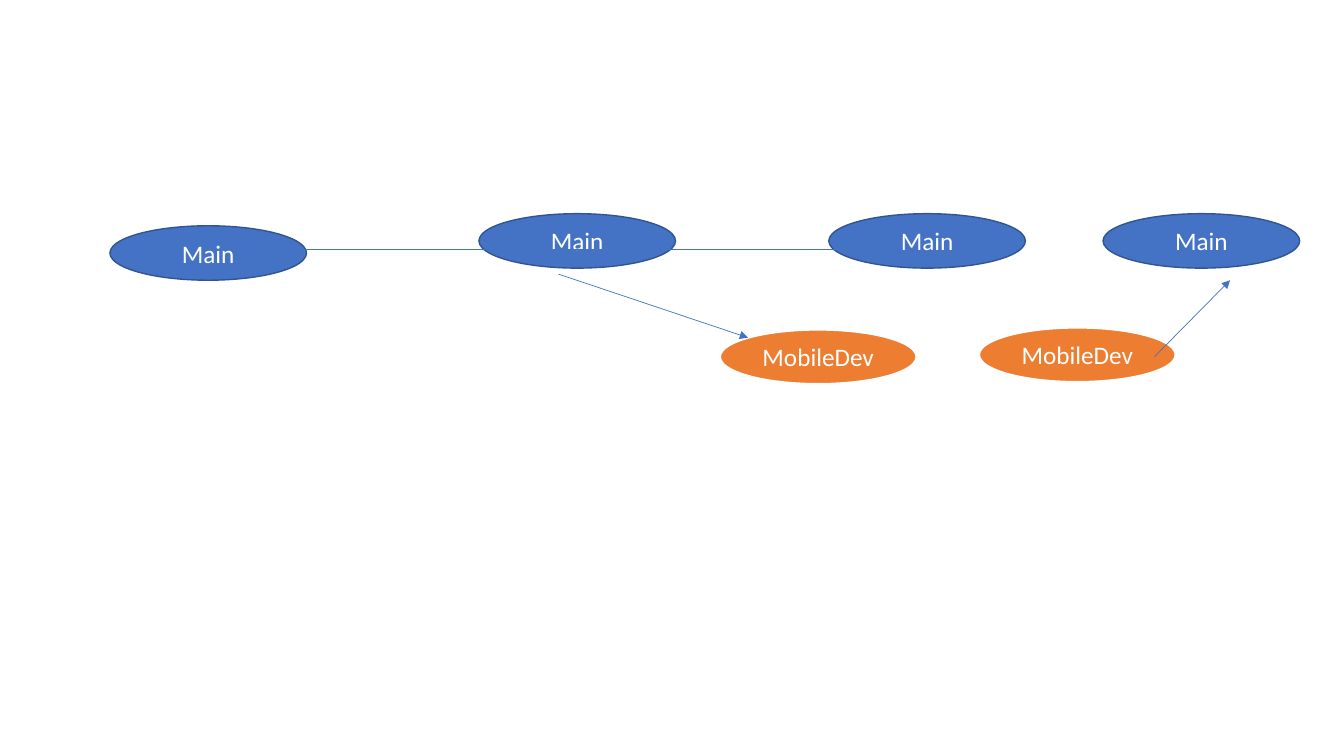
from lxml import etree
from pptx import Presentation
from pptx import util as u
from pptx.dml.color import RGBColor
from pptx.enum import shapes, text
from pptx.oxml.ns import qn

COLORS = {"blue": "4472C4", "navy": "325491", "orange": "ED7D31", "white": "FFFFFF"}
NODE_WIDTH, NODE_HEIGHT = 1.95, 0.54

presentation = Presentation()
presentation.slide_width = u.Inches(13.33)
presentation.slide_height = u.Inches(7.5)
slide = presentation.slides.add_slide(presentation.slide_layouts[6])


def color(name):
    return RGBColor.from_string(COLORS[name])


def add_node(label, left, top, fill="blue", line="navy", line_width=1, size=18):
    shape = slide.shapes.add_shape(
        shapes.MSO_SHAPE.OVAL,
        *(u.Inches(length) for length in (left, top, NODE_WIDTH, NODE_HEIGHT)))
    shape.shadow.inherit = False
    shape.fill.solid()
    shape.fill.fore_color.rgb = color(fill)
    shape.line.color.rgb = color(line)
    shape.line.width = u.Pt(line_width)
    frame = shape.text_frame
    frame.word_wrap = True
    frame.vertical_anchor = text.MSO_ANCHOR.MIDDLE
    paragraph = frame.paragraphs[0]
    paragraph.alignment = text.PP_ALIGN.CENTER
    run = paragraph.add_run()
    run.text = label
    run.font.name = "Calibri"
    run.font.size = u.Pt(size)
    run.font.color.rgb = color("white")


for left, top in [(1.09, 2.24), (4.75, 2.12), (8.22, 2.12), (10.94, 2.12)]:
    add_node("Main", left, top)

for left, top in [(7.14, 3.27), (9.71, 3.25)]:
    add_node("MobileDev", left, top, fill="orange", line="white", line_width=1.5)

main_history = (3.02, 2.475, 8.41, 2.475)
main_history = (3.02, 2.47, 8.41, 2.47)
branch_out = (5.54, 2.72, 7.42, 3.35)
merge_back = (11.45, 3.54, 12.2, 2.78)
for ends in (main_history, branch_out, merge_back):
    arrow = slide.shapes.add_connector(
        shapes.MSO_CONNECTOR.STRAIGHT, *(u.Inches(end) for end in ends))
    arrow.line.color.rgb = color("blue")
    arrow.line.width = u.Pt(0.5)
    properties = arrow.element.spPr
    etree.SubElement(properties.find(qn("a:ln")), qn("a:tailEnd"), type="triangle")
    etree.SubElement(properties, qn("a:effectLst"))

presentation.save("out.pptx")
